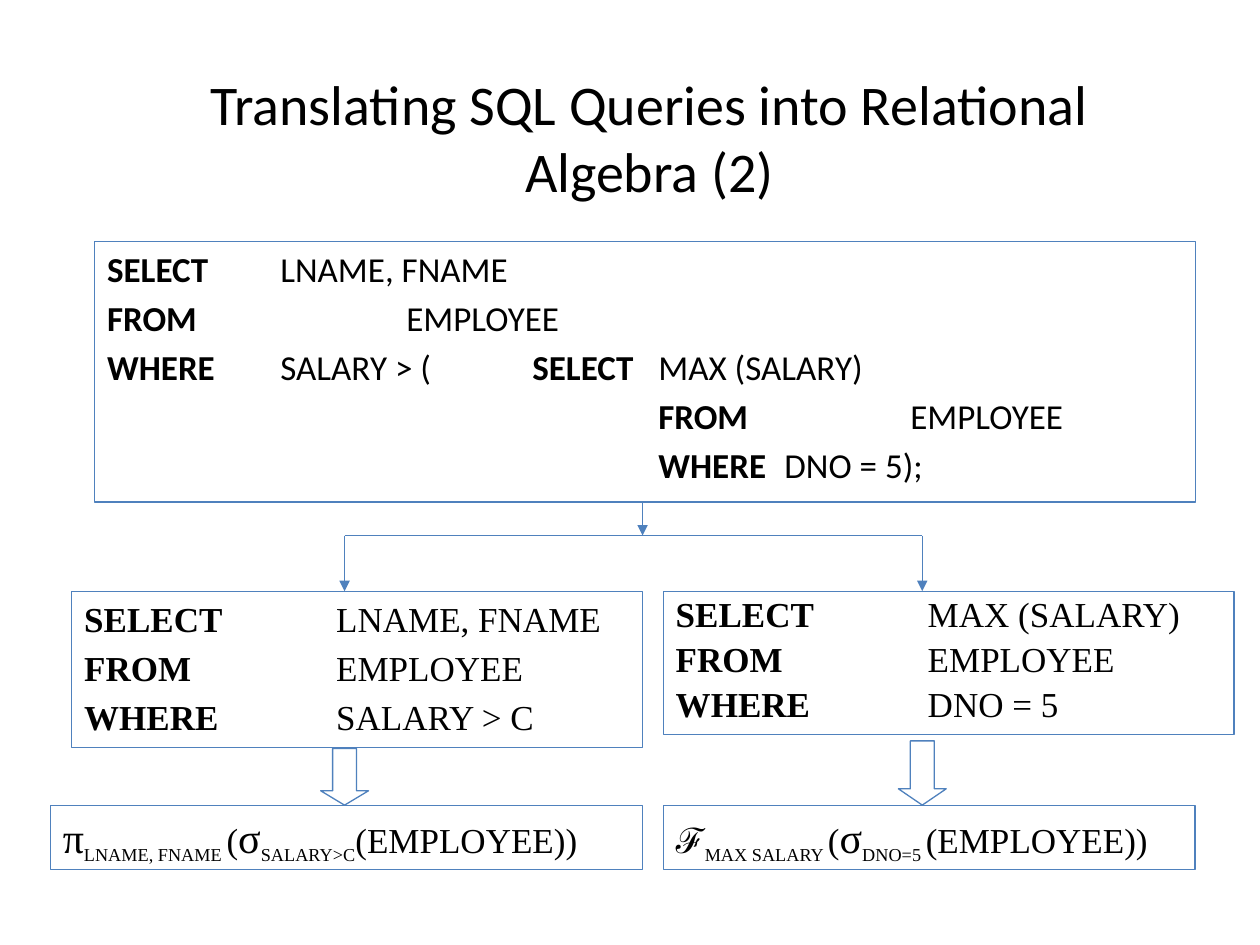
from lxml import etree
from pptx import Presentation
from pptx.dml.color import RGBColor
from pptx.enum.shapes import MSO_CONNECTOR, MSO_SHAPE
from pptx.enum.text import MSO_ANCHOR, MSO_AUTO_SIZE, PP_ALIGN
from pptx.oxml.ns import qn
from pptx.util import Inches, Pt

RECTANGLE = MSO_SHAPE.RECTANGLE
DOWN_ARROW = MSO_SHAPE.DOWN_ARROW
STRAIGHT = MSO_CONNECTOR.STRAIGHT
TOP, MIDDLE = MSO_ANCHOR.TOP, MSO_ANCHOR.MIDDLE
NO_FIT = MSO_AUTO_SIZE.NONE
LEFT, CENTER = PP_ALIGN.LEFT, PP_ALIGN.CENTER


def color(value):
    return RGBColor.from_string(value)


class QueryPage:
    columns, rows = 100, 75
    accent, ink = "4F81BD", "000000"
    sans, serif = "Calibri", "Times New Roman"
    tab = Inches(1)

    def __init__(self, deck):
        self.deck = deck
        self.page = deck.slides.add_slide(deck.slide_layouts[1])

    def x(self, column):
        return round(self.deck.slide_width * column / self.columns)

    def y(self, row):
        return round(self.deck.slide_height * row / self.rows)

    def area(self, column, row, width, height):
        return self.x(column), self.y(row), self.x(width), self.y(height)

    def place(self, box, *area):
        box.left, box.top, box.width, box.height = self.area(*area)

    def outline(self, box):
        box.line.color.rgb = color(self.accent)
        box.line.width = Pt(0.75)

    def style(self, para, font, size, align=LEFT):
        para.alignment = align
        para.font.name = font
        para.font.size = Pt(size)
        para.font.color.rgb = color(self.ink)

    def frame(self, box, anchor=TOP):
        frame = box.text_frame
        frame.word_wrap = True
        frame.auto_size = NO_FIT
        frame.vertical_anchor = anchor
        return frame

    def title(self, text, *area):
        box = self.page.shapes.title
        self.place(box, *area)
        para = self.frame(box, MIDDLE).paragraphs[0]
        para.text = text
        self.style(para, self.sans, 32, CENTER)

    def write_query(self, frame, lines, font):
        for index, line in enumerate(lines):
            para = frame.add_paragraph() if index else frame.paragraphs[0]
            self.style(para, font, 20)
            para.space_before = Pt(4)
            para._p.get_or_add_pPr().set("defTabSz", str(self.tab))
            for part, text in enumerate(line.split("*")):
                if text:
                    span = para.add_run()
                    span.text = text
                    span.font.bold = part % 2 == 1
        return frame.paragraphs

    def body(self, lines, *area):
        box = self.page.placeholders[1]
        self.place(box, *area)
        self.outline(box)
        for para in self.write_query(self.frame(box), lines, self.sans):
            bullet = etree.SubElement(para._p.pPr, qn("a:buNone"))
            para._p.pPr.find(qn("a:defRPr")).addprevious(bullet)

    def shape(self, kind, *area):
        box = self.page.shapes.add_shape(kind, *self.area(*area))
        box.shadow.inherit = False
        box.fill.background()
        self.outline(box)
        return box

    def query(self, lines, *area, spacing=1.0):
        box = self.shape(RECTANGLE, *area)
        for para in self.write_query(self.frame(box), lines, self.serif):
            para.line_spacing = spacing

    def formula(self, parts, *area):
        para = self.frame(self.shape(RECTANGLE, *area)).paragraphs[0]
        self.style(para, self.serif, 20)
        para.space_before = Pt(10)
        for text, role in parts:
            span = para.add_run()
            span.text = text
            if role == "greek":
                span.font.size = Pt(24)
            elif role == "script":
                span.font.name = "Arial"
            elif role == "sub":
                span.font.size = Pt(18)
                span.font._element.set("baseline", "-25000")

    def block_arrow(self, head, *area):
        self.shape(DOWN_ARROW, *area).adjustments[1] = head

    def line(self, start, end, arrow=True):
        line = self.page.shapes.add_connector(
            STRAIGHT, self.x(start[0]), self.y(start[1]), self.x(end[0]), self.y(end[1]))
        self.outline(line)
        if arrow:
            etree.SubElement(line.line._get_or_add_ln(), qn("a:tailEnd"), type="triangle")
        etree.SubElement(line._element.spPr, qn("a:effectLst"))


def main():
    deck = Presentation()
    deck.slide_width, deck.slide_height = Inches(10), Inches(7.5)
    page = QueryPage(deck)

    page.title("Translating SQL Queries into Relational Algebra (2)", 10.6, 4.6, 81.9, 12.5)
    inner = "\t" * 5
    page.body([
        "*SELECT* \tLNAME, FNAME",
        "*FROM* \t\tEMPLOYEE",
        "*WHERE* \tSALARY > (\t*SELECT*\tMAX (SALARY)",
        inner + "*FROM*\t\tEMPLOYEE",
        inner + "*WHERE* \tDNO = 5);",
    ], 7.5, 19.15, 87.4, 20.7)

    left, right, query_top, formula_top = 5.7, 52.65, 46.92, 63.9
    page.query(["*SELECT*\tMAX (SALARY)", "*FROM*\t\tEMPLOYEE", "*WHERE* \tDNO = 5"],
               right, query_top, 45.3, 11.4, spacing=0.9)
    page.query(["*SELECT* \tLNAME, FNAME", "*FROM* \t\tEMPLOYEE", "*WHERE* \tSALARY > C"],
               left, query_top, 45.3, 12.4)

    center, fork = 51, 42.5
    branches = 27.35, 73.2
    page.line((center, 39.9), (center, fork))
    page.line((branches[0], fork), (branches[1], fork), arrow=False)
    for branch, top, head in zip(branches, (59.4, 58.8), (0.3, 0.34)):
        page.line((branch, fork), (branch, query_top))
        page.block_arrow(head, branch - 1.9, top, 3.8, formula_top - top)

    page.formula([("π", "greek"), ("LNAME, FNAME ", "sub"), ("(", "plain"), ("σ", "greek"),
                  ("SALARY>C", "sub"), ("(EMPLOYEE))", "plain")],
                 4, formula_top, 47, 5.1)
    page.formula([("ℱ", "script"), ("MAX SALARY ", "sub"), ("(", "plain"), ("σ", "greek"),
                  ("DNO=5 ", "sub"), ("(EMPLOYEE))", "plain")],
                 right, formula_top, 42.2, 5.1)
    deck.save("out.pptx")


if __name__ == "__main__":
    main()
